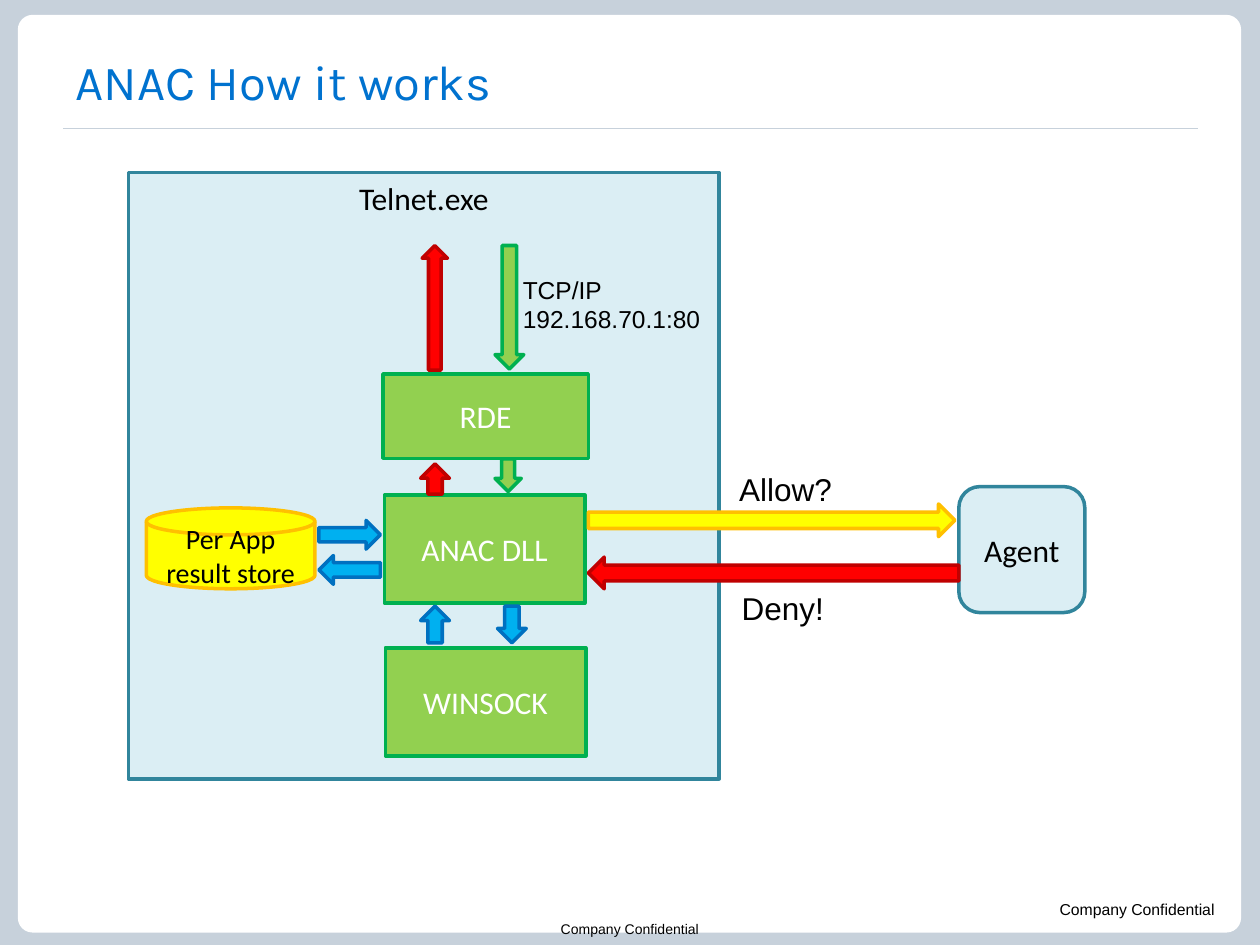
import pptx
import pptx.util
import pptx.dml.color
import pptx.enum.shapes
import pptx.enum.text
import pptx.oxml.ns
import lxml.etree

Cm = pptx.util.Cm
Pt = pptx.util.Pt
SHAPE = pptx.enum.shapes.MSO_SHAPE
ALIGN = pptx.enum.text.PP_ALIGN
ANCHOR = pptx.enum.text.MSO_ANCHOR
AUTO_SIZE = pptx.enum.text.MSO_AUTO_SIZE

COLOURS = {
    "background": "C7D1DB", "white": "FFFFFF", "black": "000000", "title": "0072CF",
    "pale": "DBEEF4", "teal": "31859C", "lime": "92D050", "green": "00B050",
    "red": "FF0000", "dark_red": "C00000", "yellow": "FFFF00", "amber": "FFC000",
    "sky": "00B0F0", "blue": "0070C0",
}
STYLES = {
    "panel": ("pale", "teal"), "process": ("lime", "green"), "request": ("lime", "green"),
    "reply": ("red", "dark_red"), "query": ("yellow", "amber"), "lookup": ("sky", "blue"),
}


def colour(name):
    return pptx.dml.color.RGBColor.from_string(COLOURS[name])


def set_values(target, values):
    for name, value in values.items():
        setattr(target, name, value)


def place(box, left, top, width, height):
    return Cm(box[0] + left), Cm(box[1] + top), Cm(width), Cm(height)


def write(text_frame, text, size, font="Calibri", ink="black",
          align=ALIGN.LEFT, anchor=ANCHOR.TOP, wrap=True):
    set_values(text_frame, {"word_wrap": wrap, "auto_size": AUTO_SIZE.NONE,
                            "vertical_anchor": anchor})
    text_frame.text = text
    for paragraph in text_frame.paragraphs:
        paragraph.alignment = align
        set_values(paragraph.font, {"name": font, "size": Pt(size), "bold": False})
        paragraph.font.color.rgb = colour(ink)


def add_block(slide, kind, position, style, rotation=0):
    shape = slide.shapes.add_shape(kind, *position)
    fill, line = STYLES[style]
    shape.fill.solid()
    shape.fill.fore_color.rgb = colour(fill)
    shape.line.color.rgb = colour(line)
    set_values(shape.line, {"width": Pt(2)})
    set_values(shape, {"rotation": rotation})
    shape.shadow.inherit = False
    return shape


def add_label(slide, position, text, size, **options):
    label = slide.shapes.add_textbox(*position)
    write(label.text_frame, text, size, font="Arial", **options)


def build_frame(slide, box):
    slide.background.fill.solid()
    slide.background.fill.fore_color.rgb = colour("background")
    card = slide.shapes.add_shape(SHAPE.ROUNDED_RECTANGLE, *place(box, 0, 0, box[2], box[3]))
    card.adjustments[0] = 0.016
    card.fill.solid()
    card.fill.fore_color.rgb = colour("white")
    card.line.fill.background()
    card.shadow.inherit = False
    left, right, height = Cm(box[0] + 0.91), Cm(box[0] + 23.8), Cm(box[1] + 2.29)
    rule = slide.shapes.add_connector(pptx.enum.shapes.MSO_CONNECTOR.STRAIGHT,
                                      left, height, right, height)
    rule.line.color.rgb = colour("background")
    rule.line.width = Pt(0.75)
    lxml.etree.SubElement(rule._element.spPr, pptx.oxml.ns.qn("a:effectLst"))


def build_title(slide, box):
    title = slide.shapes.title
    names = ("left", "top", "width", "height")
    set_values(title, dict(zip(names, place(box, 0, 0, box[2], box[3]))))
    write(title.text_frame, "ANAC How it works", 28, font="Karla", ink="title",
          anchor=ANCHOR.MIDDLE)


def build_application(slide, box):
    panel = add_block(slide, SHAPE.FLOWCHART_PROCESS, place(box, 0, 0, box[2], box[3]), "panel")
    write(panel.text_frame, "Telnet.exe", 18, align=ALIGN.CENTER)

    for text, left, top, width, height in (
        ("RDE", 5.13, 4.06, 4.14, 1.7),
        ("ANAC DLL", 5.16, 6.5, 4.04, 2.18),
        ("WINSOCK", 5.18, 9.58, 4.04, 2.18),
    ):
        process = add_block(slide, SHAPE.FLOWCHART_PROCESS,
                            place(box, left, top, width, height), "process")
        write(process.text_frame, text, 18, ink="white", align=ALIGN.CENTER,
              anchor=ANCHOR.MIDDLE)

    store = add_block(slide, SHAPE.FLOWCHART_MAGNETIC_DISK,
                      place(box, 0.36, 6.76, 3.4, 1.63), "query")
    write(store.text_frame, "Per App result store", 16, align=ALIGN.CENTER,
          anchor=ANCHOR.MIDDLE)

    for style, rotation, left, top, width, height in (
        ("request", 0, 7.39, 1.47, 0.58, 2.49),
        ("request", 0, 7.39, 5.77, 0.53, 0.66),
        ("reply", 180, 5.92, 1.47, 0.51, 2.51),
        ("reply", 180, 5.89, 5.87, 0.58, 0.61),
        ("lookup", 0, 7.44, 8.74, 0.58, 0.74),
        ("lookup", 180, 5.89, 8.74, 0.58, 0.74),
        ("lookup", 90, 4.17, 7.39, 0.58, 1.24),
        ("lookup", 270, 4.17, 6.68, 0.58, 1.24),
    ):
        add_block(slide, SHAPE.DOWN_ARROW, place(box, left, top, width, height), style, rotation)

    add_label(slide, place(box, 7.7, 1.93, 4.09, 1.45), "TCP/IP\n192.168.70.1:80", 14, wrap=False)


def build_agent(slide, box):
    agent = add_block(slide, SHAPE.ROUNDED_RECTANGLE, place(box, 7.47, 0.46, 2.54, 2.54), "panel")
    write(agent.text_frame, "Agent", 18, align=ALIGN.CENTER, anchor=ANCHOR.MIDDLE)
    add_block(slide, SHAPE.RIGHT_ARROW, place(box, 0, 0.81, 7.39, 0.66), "query")
    add_block(slide, SHAPE.RIGHT_ARROW, place(box, 0, 1.88, 7.47, 0.64), "reply", 180)
    add_label(slide, place(box, 2.79, 0, 2.41, 1.02), "Allow?", 18, wrap=False)
    add_label(slide, place(box, 2.84, 2.39, 2.18, 1.02), "Deny!", 18, wrap=False)


def build_footer(slide, box):
    notice = "Company Confidential"
    add_label(slide, place(box, 21.11, 0, 4.29, 0.64), notice, 9)
    add_label(slide, place(box, 0, 0.43, box[2], 0.61), notice, 8, align=ALIGN.CENTER)


def main():
    presentation = pptx.Presentation()
    set_values(presentation, {"slide_width": Cm(25.4), "slide_height": Cm(19.05)})
    slide = presentation.slides.add_slide(presentation.slide_layouts[5])
    build_frame(slide, (0.36, 0.3, 24.66, 18.5))
    build_title(slide, (1.27, 0.76, 22.86, 1.73))
    build_application(slide, (2.59, 3.48, 11.91, 12.22))
    build_agent(slide, (11.86, 9.35, 10.01, 3.41))
    build_footer(slide, (0, 18.01, 25.4, 1.04))
    title = slide.shapes.title._element
    title.getparent().insert(4, title)
    presentation.save("out.pptx")


if __name__ == "__main__":
    main()
